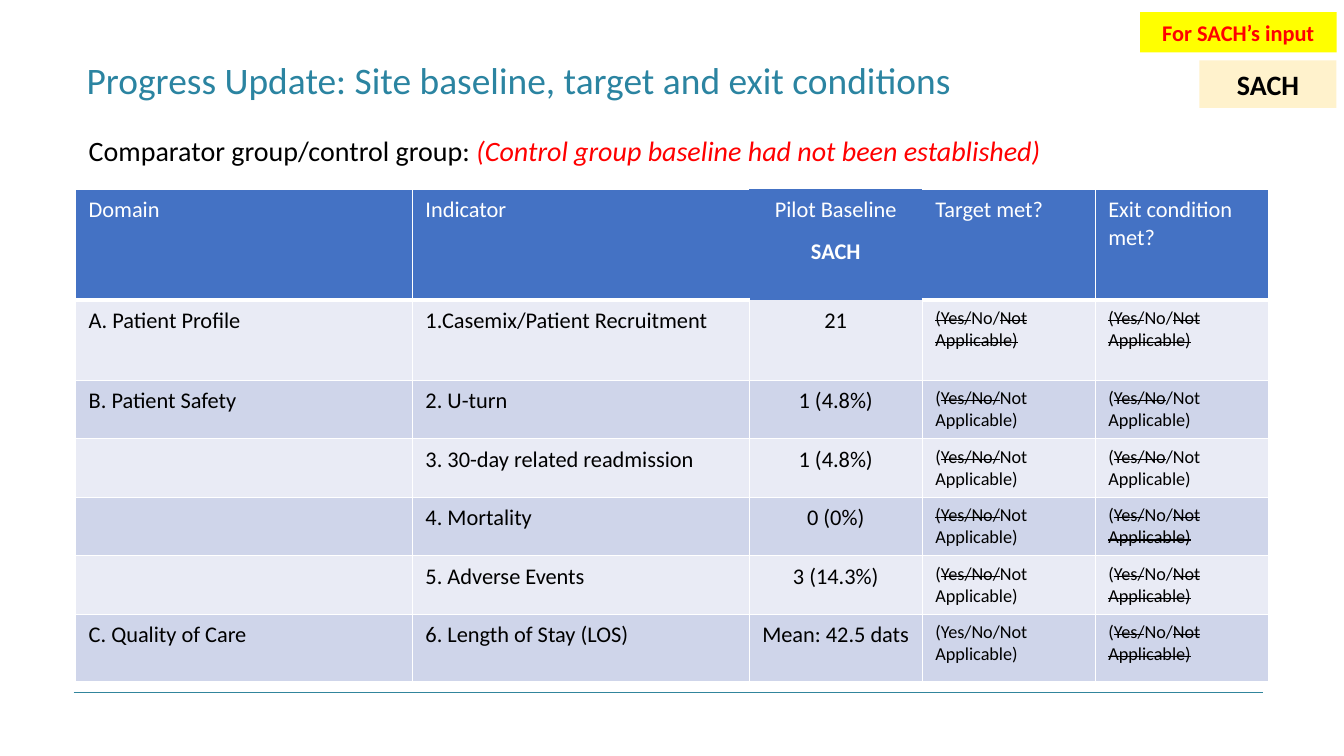
from dataclasses import dataclass

from lxml.etree import SubElement
from pptx import Presentation
from pptx.dml.color import RGBColor
from pptx.enum.shapes import MSO_CONNECTOR, MSO_SHAPE
from pptx.enum.text import MSO_ANCHOR, MSO_AUTO_SIZE, PP_ALIGN
from pptx.oxml.ns import qn
from pptx.util import Inches, Pt

FONT = "Calibri"
BLACK, WHITE, RED = "000000", "FFFFFF", "FF0000"
HEADER_FILL, BANDS = "4472C4", ("E9EBF5", "CFD5EA")
BASELINE = 2  # column of the pilot baseline
HEADER_ROWS = 2


@dataclass(frozen=True)
class Box:
    """A place on a grid of 160 columns by 90 rows."""
    col: float
    row: float
    cols: float
    rows: float


@dataclass(frozen=True)
class Piece:
    text: str
    color: str = BLACK
    bold: bool = False
    italic: bool = False
    strike: bool = False


@dataclass(frozen=True)
class Tag:
    text: str
    box: Box
    fill: str
    color: str
    size: float


def grid(units: float) -> int:
    return Inches(units / 12)


def place(box: Box) -> tuple:
    return tuple(grid(n) for n in (box.col, box.row, box.cols, box.rows))


def rgb(color: str) -> RGBColor:
    return RGBColor.from_string(color)


def set_margins(frame) -> None:
    frame.margin_left = frame.margin_right = Inches(0.13)
    frame.margin_top = frame.margin_bottom = Inches(0.07)


def write(frame, pieces: list, size: float, align=PP_ALIGN.LEFT) -> None:
    frame.word_wrap = True
    paragraph = frame.paragraphs[0]
    paragraph.alignment = align
    paragraph.font.name, paragraph.font.size = FONT, Pt(size)
    for piece in pieces:
        run = paragraph.add_run()
        run.text = piece.text
        run.font.color.rgb = rgb(piece.color)
        run.font.bold, run.font.italic = piece.bold, piece.italic
        if piece.strike:
            run.font._element.set("strike", "sngStrike")


def struck(text: str) -> list:
    """Split at ~ marks; every second part is struck through."""
    return [Piece(part, strike=n % 2 == 1)
            for n, part in enumerate(text.split("~")) if part]


def draw_borders(cell, sides: str, bottom: float) -> None:
    properties = cell._tc.get_or_add_tcPr()
    for side in "LRTB":
        width = bottom if side == "B" else 1
        line = SubElement(properties, qn(f"a:ln{side}"), w=str(Pt(width)))
        if side in sides:
            fill = SubElement(line, qn("a:solidFill"))
            SubElement(fill, qn("a:srgbClr"), val=WHITE)
        else:
            SubElement(line, qn("a:noFill"))


def border_sides(row: int, col: int) -> str:
    if row < HEADER_ROWS:
        return {BASELINE - 1: "LTB", BASELINE: "", BASELINE + 1: "TRB"}.get(col, "LTRB")
    return "LRB" if (row, col) == (HEADER_ROWS, BASELINE) else "LTRB"


def fill_cell(cell, row: int, col: int, text: str) -> None:
    header = row < HEADER_ROWS
    draw_borders(cell, border_sides(row, col), 3 if header else 1)
    cell.fill.solid()
    cell.fill.fore_color.rgb = rgb(HEADER_FILL if header else BANDS[row % 2])
    set_margins(cell)
    if header:
        pieces = [Piece(text, WHITE, bold=row == 1)] if text else []
    else:
        pieces = struck(text)
    verdict = not header and col > BASELINE
    write(cell.text_frame, pieces, 13 if verdict else 16,
          PP_ALIGN.CENTER if col == BASELINE else PP_ALIGN.LEFT)


def add_tag(slide, tag: Tag) -> None:
    shape = slide.shapes.add_shape(MSO_SHAPE.RECTANGLE, *place(tag.box))
    shape.shadow.inherit = False
    shape.fill.solid()
    shape.fill.fore_color.rgb = rgb(tag.fill)
    shape.line.fill.background()
    set_margins(shape.text_frame)
    shape.text_frame.vertical_anchor = MSO_ANCHOR.TOP
    write(shape.text_frame, [Piece(tag.text, tag.color, bold=True)], tag.size, PP_ALIGN.CENTER)


COLUMNS = (40.1, 40.1, 20.6, 20.6, 20.6)
ROWS = (4.8, 8.04, 9.6, 6.95, 6.95, 6.95, 6.95, 8.04)
NOT_APPLICABLE = "(~Yes/No/~Not Applicable)"
NO = "(~Yes/~No/~Not Applicable)~"
NEITHER = "(~Yes/No~/Not Applicable)"
CONTENT = (
    ("Domain", "Indicator", "Pilot Baseline", "Target met?", "Exit condition met?"),
    ("", "", "SACH", "", ""),
    ("A. Patient Profile", "1.Casemix/Patient Recruitment", "21",
     "~(Yes/~No/~Not Applicable)~", "~(Yes/~No/~Not Applicable)~"),
    ("B. Patient Safety", "2. U-turn", "1 (4.8%)", NOT_APPLICABLE, NEITHER),
    ("", "3. 30-day related readmission", "1 (4.8%)", NOT_APPLICABLE, NEITHER),
    ("", "4. Mortality", "0 (0%)", "~(Yes/No/~Not Applicable)", NO),
    ("", "5. Adverse Events", "3 (14.3%)", NOT_APPLICABLE, NO),
    ("C. Quality of Care", "6. Length of Stay (LOS)", "Mean: 42.5 dats",
     "(Yes/No/Not Applicable)", NO),
)
TAGS = (
    Tag("For SACH’s input", Box(135.72, 1.44, 23.4, 4.8), "FFFF00", RED, 16),
    Tag("SACH", Box(142.8, 7.2, 16.32, 5.64), "FFF2CC", BLACK, 20),
)


def add_indicators(slide) -> None:
    box = Box(9, 22.56, sum(COLUMNS), sum(ROWS))
    indicators = slide.shapes.add_table(len(ROWS), len(COLUMNS), *place(box)).table
    indicators.horz_banding = False
    for column, width in zip(indicators.columns, COLUMNS):
        column.width = grid(width)
    for row, height in zip(indicators.rows, ROWS):
        row.height = grid(height)
    for r, texts in enumerate(CONTENT):
        for c, text in enumerate(texts):
            fill_cell(indicators.cell(r, c), r, c, text)
    for c in range(len(COLUMNS)):
        if c != BASELINE:
            indicators.cell(0, c).merge(indicators.cell(1, c))


def main() -> None:
    deck = Presentation()
    deck.slide_width, deck.slide_height = grid(160), grid(90)
    slide = deck.slides.add_slide(deck.slide_layouts[5])

    # Footer rule
    rule = slide.shapes.add_connector(
        MSO_CONNECTOR.STRAIGHT, grid(8.76), grid(82.44), grid(150.36), grid(82.44))
    rule.line.color.rgb = rgb("31859C")
    rule.line.width = Pt(1)
    SubElement(rule._element.spPr, qn("a:effectLst"))

    # Title
    title = slide.shapes.title
    title.left, title.top, title.width, title.height = place(Box(9, 3.24, 107.28, 13.08))
    heading = title.text_frame
    heading.auto_size = MSO_AUTO_SIZE.NONE
    heading.vertical_anchor = MSO_ANCHOR.MIDDLE
    heading.margin_left = heading.margin_right = Inches(0.11)
    heading.margin_top = heading.margin_bottom = Inches(0.06)
    write(heading, [Piece("Progress Update: Site baseline, target and exit conditions",
                          "2B84A1")], 26.7)
    heading.paragraphs[0].line_spacing = 0.9

    # Indicator table
    add_indicators(slide)

    # Comparator statement
    comparator = slide.shapes.add_textbox(*place(Box(9, 15, 142, 5.64))).text_frame
    set_margins(comparator)
    write(comparator, [
        Piece("Comparator group/control group: "),
        Piece("(Control group baseline had not been established)", RED, italic=True)], 20)

    # Corner tags
    for tag in TAGS:
        add_tag(slide, tag)

    deck.save("out.pptx")


if __name__ == "__main__":
    main()
